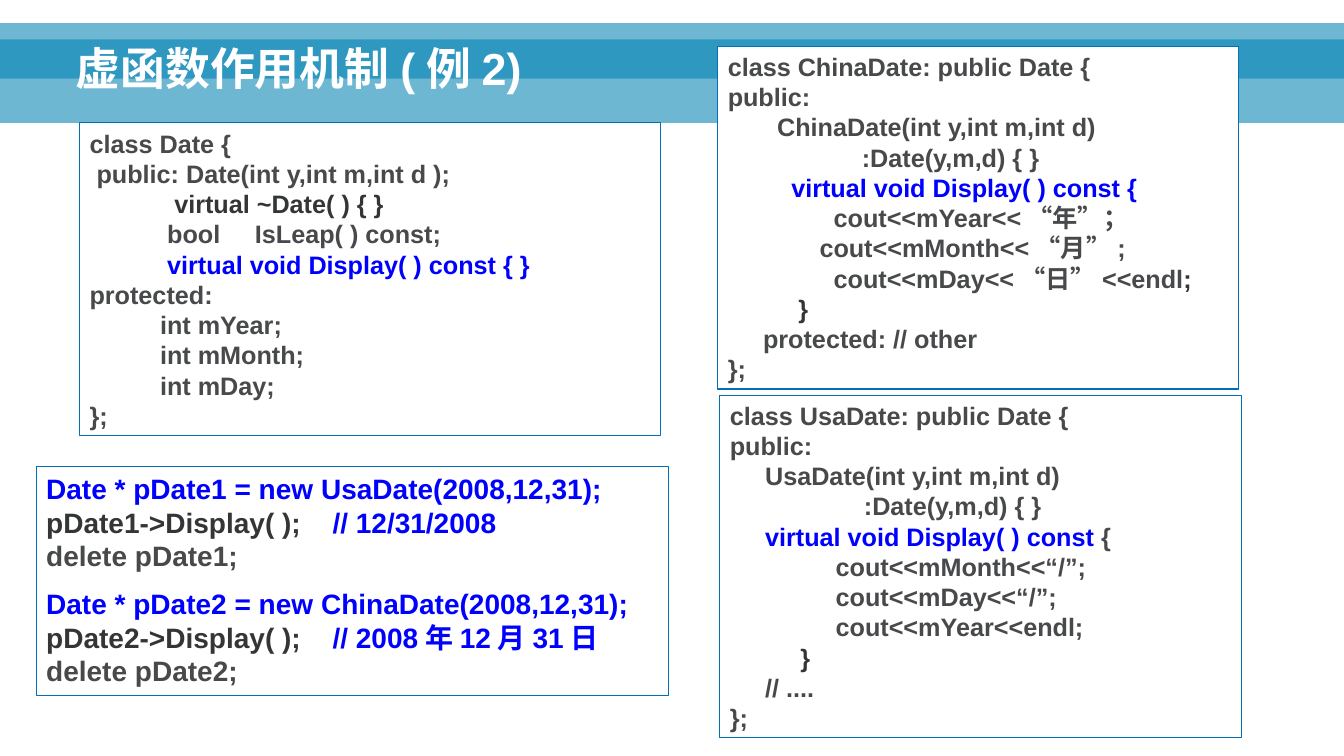
"""Build the slide on how virtual functions work, with four code boxes."""
from dataclasses import dataclass

from pptx import Presentation
from pptx import util as u
from pptx.dml import color
from pptx.enum import shapes, text
from pptx.oxml import ns, xmlchemy

GRAY, DARK, BLUE = "47494B", "343537", "0000FF"
WHITE, BORDER, BAND = "FFFFFF", "046FB6", "0082B3"
FONT = "Arial"
SPACE_WIDTH = 0.07


@dataclass(frozen=True)
class Line:
    """One line of code, indented by a number of space widths."""
    indent: int
    code: str
    color: str = GRAY
    tail: str = ""
    tail_color: str = BLUE
    tab: float = 0
    gap: float = 0


@dataclass(frozen=True)
class CodeBox:
    """A framed listing with its place in inches and text size in points."""
    left: float
    top: float
    width: float
    height: float
    size: int
    lines: tuple[Line, ...]


DATE = CodeBox(0.79, 1.22, 5.76, 3.1, 18, (
    Line(0, "class Date {"),
    Line(1, "public: Date(int y,int m,int d );"),
    Line(12, "virtual ~Date( ) { }", DARK),
    Line(11, "bool\tIsLeap( ) const;", tab=1.64),
    Line(11, "virtual void Display( ) const { }", BLUE),
    Line(0, "protected:"),
    Line(10, "int mYear;"),
    Line(10, "int mMonth;"),
    Line(10, "int mDay;"),
    Line(0, "};"),
))
CHINA_DATE = CodeBox(7.12, 0.46, 5.16, 3.4, 18, (
    Line(0, "class ChinaDate: public Date {"),
    Line(0, "public:"),
    Line(7, "ChinaDate(int y,int m,int d)"),
    Line(19, ":Date(y,m,d) { }"),
    Line(9, "virtual void Display( ) const {", BLUE),
    Line(15, "cout<<mYear<<“年”；"),
    Line(13, "cout<<mMonth<<“月”;"),
    Line(15, "cout<<mDay<<“日”<<endl", tail=";", tail_color=DARK),
    Line(10, "}", DARK),
    Line(5, "protected: // other"),
    Line(0, "};"),
))
USA_DATE = CodeBox(7.14, 3.92, 5.17, 3.4, 18, (
    Line(0, "class UsaDate: public Date {"),
    Line(0, "public:"),
    Line(5, "UsaDate(int y,int m,int d)"),
    Line(19, ":Date(y,m,d) { }"),
    Line(5, "virtual void Display( ) const", BLUE, " {", GRAY),
    Line(15, "cout<<mMonth<<“/”;"),
    Line(15, "cout<<mDay<<“/”;"),
    Line(15, "cout<<mYear<<endl;"),
    Line(10, "}", DARK),
    Line(5, "// ...."),
    Line(0, "};"),
))
USAGE = CodeBox(0.36, 4.63, 6.27, 2.27, 20, (
    Line(0, "Date * pDate1 = new UsaDate(2008,12,31);", BLUE),
    Line(0, "pDate1->Display( );\t", DARK, "// 12/31/2008", tab=2.84),
    Line(0, "delete pDate1;"),
    Line(0, "Date * pDate2 = new ChinaDate(2008,12,31);", BLUE, gap=10),
    Line(0, "pDate2->Display( );\t", DARK, "// 2008年12月31日", tab=2.84),
    Line(0, "delete pDate2;"),
))


def rgb(value: str) -> color.RGBColor:
    """Turn a hex string into a colour."""
    return color.RGBColor.from_string(value)


def style_font(font, size: int) -> None:
    """Set the bold face shared by all text."""
    font.name, font.size, font.bold = FONT, u.Pt(size), True


def add_rectangle(slide, left: float, top: float, width: float, height: float, fill: str):
    """Add a flat filled rectangle without a shadow."""
    shape = slide.shapes.add_shape(
        shapes.MSO_SHAPE.RECTANGLE,
        u.Inches(left), u.Inches(top), u.Inches(width), u.Inches(height))
    shape.shadow.inherit = False
    shape.fill.solid()
    shape.fill.fore_color.rgb = rgb(fill)
    return shape


def add_band(slide, top: float, height: float) -> None:
    """Add a translucent band across the slide."""
    band = add_rectangle(slide, 0, top, 13.33, height, BAND)
    band.line.fill.background()
    fill_color = band._element.spPr.find(".//" + ns.qn("a:srgbClr"))
    alpha = xmlchemy.OxmlElement("a:alpha")
    alpha.set("val", "57000")
    fill_color.append(alpha)


def add_title(slide, wording: str) -> None:
    """Place the title in front of the bands."""
    title = slide.shapes.title
    title.left, title.top = u.Inches(0.65), u.Inches(0.12)
    title.width, title.height = u.Inches(11.98), u.Inches(0.87)
    frame = title.text_frame
    frame.text = wording
    frame.auto_size = text.MSO_AUTO_SIZE.NONE
    frame.vertical_anchor = text.MSO_ANCHOR.BOTTOM
    paragraph = frame.paragraphs[0]
    paragraph.alignment = text.PP_ALIGN.LEFT
    paragraph.line_spacing = 0.9
    style_font(paragraph.font, 32)
    paragraph.font.color.rgb = rgb(WHITE)
    slide.shapes._spTree.append(title._element)


def write_line(paragraph, line: Line, size: int) -> None:
    """Write one line of code, with a hanging indent where it has a tab."""
    start = line.indent * SPACE_WIDTH
    margin = line.tab or start
    properties = paragraph._p.get_or_add_pPr()
    properties.set("marL", str(u.Inches(margin)))
    properties.set("indent", str(u.Inches(start - margin)))
    paragraph.alignment = text.PP_ALIGN.LEFT
    paragraph.line_spacing = u.Pt(size * 1.2)
    paragraph.space_before = u.Pt(line.gap)
    style_font(paragraph.font, size)
    for wording, hue in ((line.code, line.color), (line.tail, line.tail_color)):
        if wording:
            run = paragraph.add_run()
            run.text = wording
            run.font.color.rgb = rgb(hue)


def add_code_box(slide, box: CodeBox) -> None:
    """Add a framed listing."""
    shape = add_rectangle(slide, box.left, box.top, box.width, box.height, WHITE)
    shape.line.color.rgb = rgb(BORDER)
    shape.line.width = u.Pt(0.75)
    frame = shape.text_frame
    frame.word_wrap = True
    frame.auto_size = text.MSO_AUTO_SIZE.SHAPE_TO_FIT_TEXT
    frame.vertical_anchor = text.MSO_ANCHOR.TOP
    for index, line in enumerate(box.lines):
        paragraph = frame.add_paragraph() if index else frame.paragraphs[0]
        write_line(paragraph, line, box.size)


def main() -> None:
    """Build and save the presentation."""
    presentation = Presentation()
    presentation.slide_width, presentation.slide_height = u.Inches(13.33), u.Inches(7.5)
    slide = presentation.slides.add_slide(presentation.slide_layouts[5])
    add_band(slide, 0.39, 0.83)
    add_band(slide, 0.23, 0.55)
    add_title(slide, "虚函数作用机制(例2)")
    for box in (DATE, CHINA_DATE, USA_DATE, USAGE):
        add_code_box(slide, box)
    presentation.save("out.pptx")


main()
